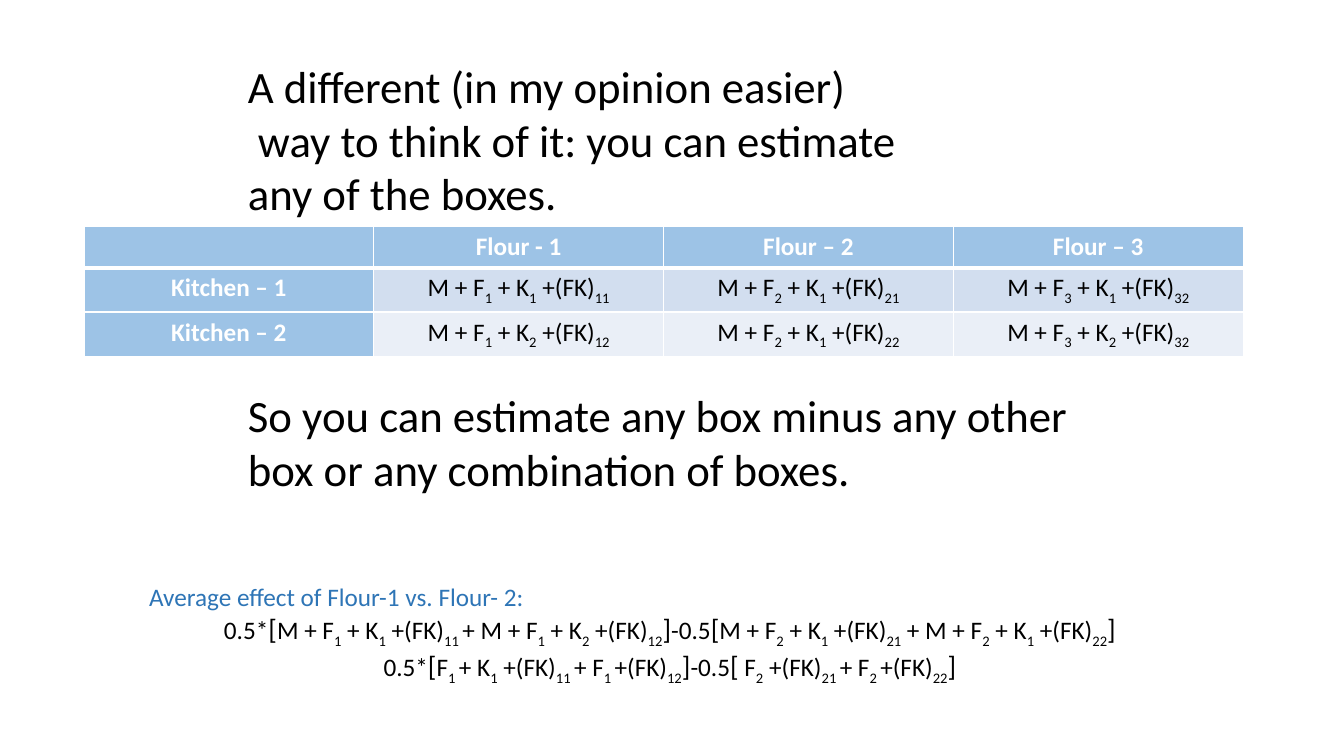
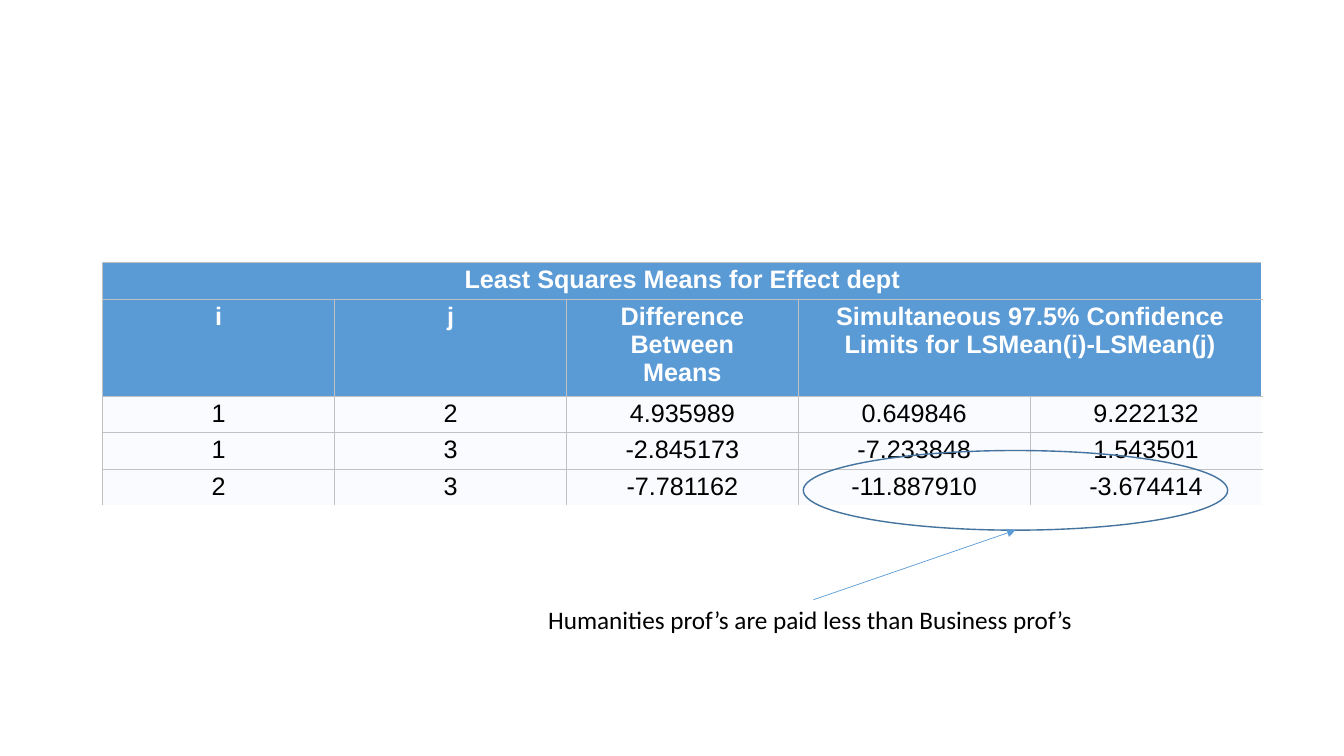
from itertools import groupby

from pptx import Presentation
from pptx import util as u
from pptx.dml import color
from pptx.enum import shapes, text
from pptx.oxml import ns, xmlchemy

Pt = u.Pt
COLORS = {
    "black": "000000",
    "white": "FFFFFF",
    "header": "9DC3E6",
    "odd_row": "D2DEEF",
    "even_row": "EAEFF7",
    "accent": "5B9BD5",
    "accent_dark": "43739E",
    "heading": "2E75B6",
    "pale": "FAFBFE",
    "rule": "C1C1C1",
}
BODY_SIZE = 18
BRACKET_SIZE = 20


def rgb(name):
    return color.RGBColor.from_string(COLORS[name])


def add_element(parent, tag, **attributes):
    element = xmlchemy.OxmlElement(tag)
    for key, value in attributes.items():
        element.set(key, str(value))
    parent.append(element)
    return element


def add_spans(para, line):
    for index, part in enumerate(line.split("_")):
        for is_bracket, letters in groupby(part, lambda letter: letter in "[]"):
            span = para.add_run()
            span.text = "".join(letters)
            if is_bracket:
                span.font.size = Pt(BRACKET_SIZE)
            if index % 2:
                span._r.get_or_add_rPr().set("baseline", "-25000")


def write(para, content, size=BODY_SIZE, font="Calibri", ink="black", bold=False, centered=False):
    para.font.size = Pt(size)
    para.font.name = font
    para.font.bold = bold
    para.font.color.rgb = rgb(ink)
    if centered:
        para.alignment = text.PP_ALIGN.CENTER
    for index, line in enumerate(content.split("\n")):
        if index:
            para.add_line_break()
        add_spans(para, line)


def add_text(page, left, top, width, height, lines, size=BODY_SIZE, wrap=False):
    box = page.shapes.add_textbox(Pt(left), Pt(top), Pt(width), Pt(height))
    frame = box.text_frame
    frame.word_wrap = wrap
    for index, line in enumerate(lines):
        para = frame.paragraphs[0] if index == 0 else frame.add_paragraph()
        write(para, line, size)
    return frame.paragraphs


def add_grid(page, left, top, width, heights, columns):
    frame = page.shapes.add_table(len(heights), columns, Pt(left), Pt(top), Pt(width), Pt(sum(heights)))
    table = frame.table
    table.first_row = table.horz_banding = False
    for row, height in zip(table.rows, heights):
        row.height = Pt(height)
    return table


def style_cell(cell, fill, edge, widths):
    properties = cell._tc.get_or_add_tcPr()
    for side, width in widths.items():
        line = add_element(properties, f"a:ln{side}", w=Pt(width))
        add_element(add_element(line, "a:solidFill"), "a:srgbClr", val=COLORS[edge])
    cell.fill.solid()
    cell.fill.fore_color.rgb = rgb(fill)


def add_arrow(page, start, end):
    points = [Pt(value) for value in (*start, *end)]
    arrow = page.shapes.add_connector(shapes.MSO_CONNECTOR.STRAIGHT, *points)
    arrow.line.color.rgb = rgb("accent")
    arrow.line.width = Pt(0.5)
    add_element(arrow.line._get_or_add_ln(), "a:tailEnd", type="triangle")
    add_element(arrow._element.find(ns.qn("p:spPr")), "a:effectLst")


def add_ring(page, left, top, width, height):
    ring = page.shapes.add_shape(shapes.MSO_SHAPE.OVAL, Pt(left), Pt(top), Pt(width), Pt(height))
    ring.shadow.inherit = False
    ring.fill.background()
    ring.line.color.rgb = rgb("accent_dark")
    ring.line.width = Pt(1)


def add_flour_table(page):
    rows = [
        ["", "Flour - 1", "Flour – 2", "Flour – 3"],
        ["Kitchen – 1", "M + F_1_ + K_1_ +(FK)_11_", "M + F_2_ + K_1_ +(FK)_21_", "M + F_3_ + K_1_ +(FK)_32_"],
        ["Kitchen – 2", "M + F_1_ + K_2_ +(FK)_12_", "M + F_2_ + K_1_ +(FK)_22_", "M + F_3_ + K_2_ +(FK)_32_"],
    ]
    table = add_grid(page, 60, 162, 828, [29.2] * len(rows), len(rows[0]))
    for i, row in enumerate(rows):
        for j, content in enumerate(row):
            cell = table.cell(i, j)
            is_header = i == 0 or j == 0
            fill = "header" if is_header else ("even_row", "odd_row")[i % 2]
            widths = {"L": 1, "R": 1, "T": 3 if i == 1 else 1, "B": 3 if i == 0 else 1}
            style_cell(cell, fill, "white", widths)
            ink = "white" if is_header else "black"
            write(cell.text_frame.paragraphs[0], content, ink=ink, bold=is_header, centered=True)


def add_means_table(page):
    rows = [
        ["Least Squares Means for Effect dept", "", "", "", ""],
        ["i", "j", "Difference Between\nMeans", "Simultaneous 97.5% Confidence\nLimits for LSMean(i)-LSMean(j)", ""],
        ["1", "2", "4.935989", "0.649846", "9.222132"],
        ["1", "3", "-2.845173", "-7.233848", "1.543501"],
        ["2", "3", "-7.781162", "-11.887910", "-3.674414"],
    ]
    last = len(rows) - 1
    table = add_grid(page, 73.4, 187.6, 828, [25.4, 65.3, 25.3, 25.3, 25.3], len(rows[0]))
    table.cell(0, 0).merge(table.cell(0, 4))
    table.cell(1, 3).merge(table.cell(1, 4))
    for i, row in enumerate(rows):
        for j, content in enumerate(row):
            cell = table.cell(i, j)
            if cell.is_spanned:
                continue
            sides = "LT"
            if j + cell.span_width < len(row):
                sides = "LRT"
            if i < last:
                sides += "B"
            is_header = i < 2
            style_cell(cell, "accent" if is_header else "pale", "rule", dict.fromkeys(sides, 0.5))
            cell.margin_left = cell.margin_right = cell.margin_top = cell.margin_bottom = Pt(2.25)
            ink = "white" if is_header else "black"
            write(cell.text_frame.paragraphs[0], content, font="Arial", ink=ink, bold=is_header, centered=True)


def build_boxes_page(page):
    add_flour_table(page)
    add_text(page, 170, 38.2, 482.4, 123.8, [
        "A different (in my opinion easier)",
        " way to think of it: you can estimate",
        "any of the boxes. ",
    ], size=32)
    add_text(page, 170, 273.6, 606.2, 85, [
        "So you can estimate any box minus any other",
        "box or any combination of boxes. ",
    ], size=32)
    heading, *formulas = add_text(page, 99.4, 411.8, 758.2, 113.8, [
        "Average effect of Flour-1 vs. Flour- 2: ",
        "0.5*[M + F_1_ + K_1_ +(FK)_11 _+ M + F_1_ + K_2_ +(FK)_12_]"
        "-0.5[M + F_2_ + K_1_ +(FK)_21_ + M + F_2_ + K_1_ +(FK)_22_]",
        "0.5*[F_1 _+ K_1_ +(FK)_11 _+ F_1 _+(FK)_12_]-0.5[ F_2_ +(FK)_21 _+ F_2 _+(FK)_22_]",
    ], wrap=True)
    heading.font.color.rgb = rgb("heading")
    for formula in formulas:
        formula.alignment = text.PP_ALIGN.CENTER


def build_means_page(page):
    add_means_table(page)
    add_ring(page, 573.8, 321.8, 303.1, 56.9)
    add_text(page, 384.5, 428.4, 393.1, 29, ["Humanities prof’s are paid less than Business prof’s"])
    add_arrow(page, (581, 428.4), (725.4, 378.7))


def main():
    deck = Presentation()
    deck.slide_width, deck.slide_height = Pt(960), Pt(540)
    for build in (build_boxes_page, build_means_page):
        build(deck.slides.add_slide(deck.slide_layouts[6]))
    deck.save("out.pptx")


main()
